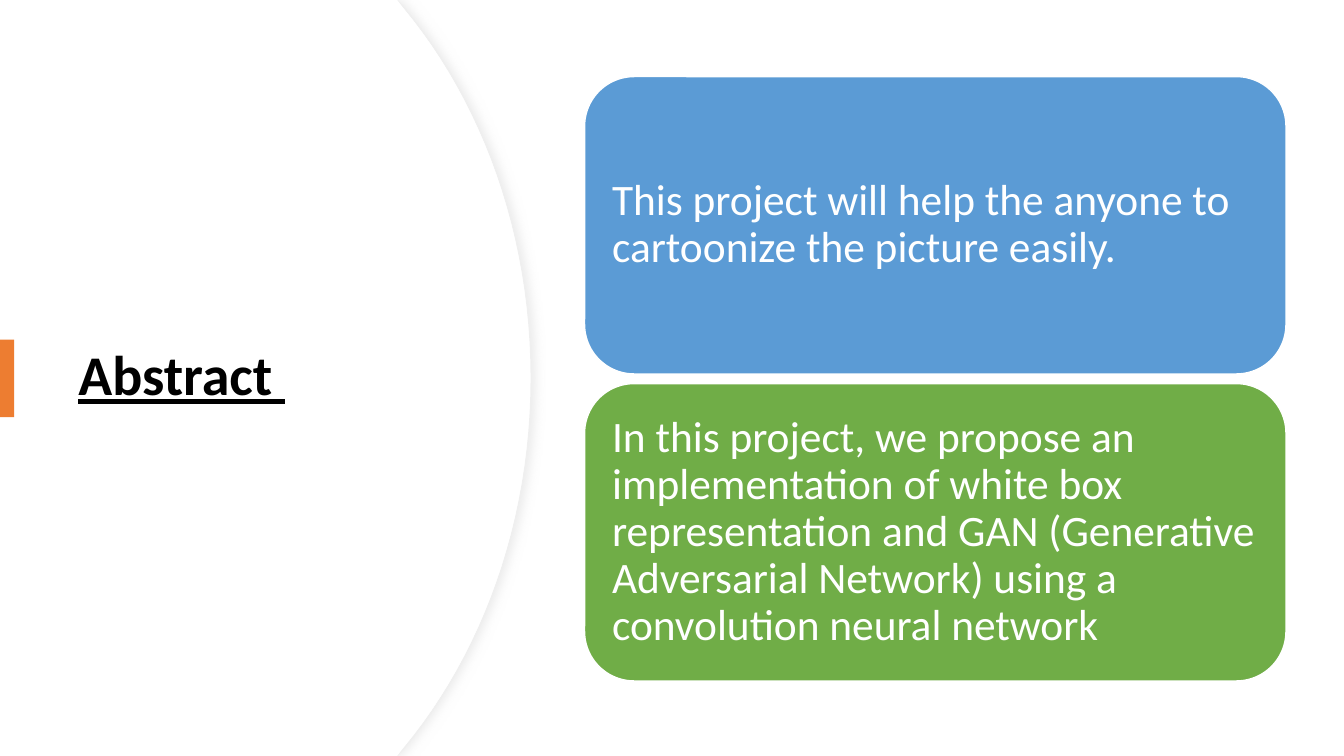
from lxml import etree
from pptx import Presentation
from pptx import util as u
from pptx.dml.color import RGBColor
from pptx.enum import shapes, text
from pptx.oxml import ns

WHITE = RGBColor(0xFF, 0xFF, 0xFF)
BLACK = RGBColor(0x00, 0x00, 0x00)
BLUE = RGBColor(0x5B, 0x9B, 0xD5)
GREEN = RGBColor(0x70, 0xAD, 0x47)
ORANGE = RGBColor(0xED, 0x7D, 0x31)
RIM = RGBColor(0xEF, 0xEF, 0xEF)
SHADE = RGBColor(0xD9, 0xD9, 0xD9)

WIDTH, HEIGHT = 960, 540


def arc_points(bulge, steps=24):
    """Right edge of a panel, top to bottom, reaching x = bulge halfway down."""
    start, mid = (bulge - 90.7, 5.8), HEIGHT / 2
    controls = [start, (bulge - 34.6, 73.4), (bulge, 167), (bulge, mid)]
    upper = []
    for step in range(steps + 1):
        t = step / steps
        weights = ((1 - t) ** 3, 3 * t * (1 - t) ** 2, 3 * t * t * (1 - t), t ** 3)
        upper.append(tuple(sum(w * c[axis] for w, c in zip(weights, controls))
                           for axis in (0, 1)))
    upper.insert(0, (283.7, 0))
    return upper + [(x, HEIGHT - y) for x, y in reversed(upper[:-1])]


class AbstractSlide:
    font = "Calibri"
    line_spacing = 0.9

    def __init__(self, slide):
        self.shapes = slide.shapes

    def paint(self, shape, fill, line=None, line_width=1):
        shape.shadow.inherit = False
        shape.fill.solid()
        shape.fill.fore_color.rgb = fill
        if line is None:
            shape.line.fill.background()
        else:
            shape.line.color.rgb = line
            shape.line.width = u.Pt(line_width)
        return shape

    def set_words(self, shape, words, size, color, margins, bold=False, underline=False):
        frame = shape.text_frame
        frame.text = words
        frame.word_wrap = True
        frame.vertical_anchor = text.MSO_ANCHOR.MIDDLE
        frame.margin_left = frame.margin_right = u.Pt(margins[0])
        frame.margin_top = frame.margin_bottom = u.Pt(margins[1])
        paragraph = frame.paragraphs[0]
        paragraph.alignment = text.PP_ALIGN.LEFT
        paragraph.line_spacing = self.line_spacing
        font = paragraph.runs[0].font
        font.name, font.size, font.color.rgb = self.font, u.Pt(size), color
        font.bold, font.underline = bold, underline

    def panel(self, bulge, rim=None):
        edge = [(u.Pt(x), u.Pt(y)) for x, y in arc_points(bulge)]
        builder = self.shapes.build_freeform(0, 0)
        builder.add_line_segments(edge + [(0, u.Pt(HEIGHT))], close=True)
        return self.paint(builder.convert_to_shape(), WHITE, rim, 0.75)

    def cast_shadow(self, shape, color, opacity, blur, distance):
        effects = shape._element.spPr.find(ns.qn("a:effectLst"))
        shadow = etree.SubElement(effects, ns.qn("a:outerShdw"), blurRad=str(u.Pt(blur)),
                                  dist=str(u.Pt(distance)), dir="0", algn="l",
                                  rotWithShape="0")
        shade = etree.SubElement(shadow, ns.qn("a:srgbClr"), val=str(color))
        etree.SubElement(shade, ns.qn("a:alpha"), val=str(opacity * 1000))

    def title(self, words, left, top, width, height):
        box = self.shapes.add_textbox(*map(u.Pt, (left, top, width, height)))
        self.set_words(box, words, 40, BLACK, (7.2, 3.6), bold=True, underline=True)

    def bar(self, left, top, width, height, fill):
        bar = self.shapes.add_shape(shapes.MSO_SHAPE.RECTANGLE,
                                    *map(u.Pt, (left, top, width, height)))
        self.paint(bar, fill)

    def card(self, words, left, top, width, height, fill):
        card = self.shapes.add_shape(shapes.MSO_SHAPE.ROUNDED_RECTANGLE,
                                     *map(u.Pt, (left, top, width, height)))
        self.paint(card, fill, WHITE)
        self.set_words(card, words, 31, WHITE, (9.3, 9.3))


def main():
    deck = Presentation()
    deck.slide_width, deck.slide_height = u.Pt(WIDTH), u.Pt(HEIGHT)
    abstract = AbstractSlide(deck.slides.add_slide(deck.slide_layouts[6]))

    # Curved panel: shaded rim below, plain face above
    rim = abstract.panel(379.4, RIM)
    abstract.cast_shadow(rim, SHADE, opacity=50, blur=7, distance=3)
    abstract.panel(378.7)

    # Heading and its accent
    abstract.title("Abstract ", 49, 91.5, 283.7, 356.4)
    abstract.bar(0, 242.6, 10.1, 55.4, ORANGE)

    # Summary cards
    summary = [
        ("This project will help the anyone to cartoonize the picture easily.", BLUE),
        ("In this project, we propose an implementation of white box representation "
         "and GAN (Generative Adversarial Network) using a convolution neural network",
         GREEN),
    ]
    card_height, gap = 212.4, 6.9
    for row, (statement, fill) in enumerate(summary):
        abstract.card(statement, 417.6, 54.7 + row * (card_height + gap),
                      501, card_height, fill)

    deck.save("out.pptx")


if __name__ == "__main__":
    main()
